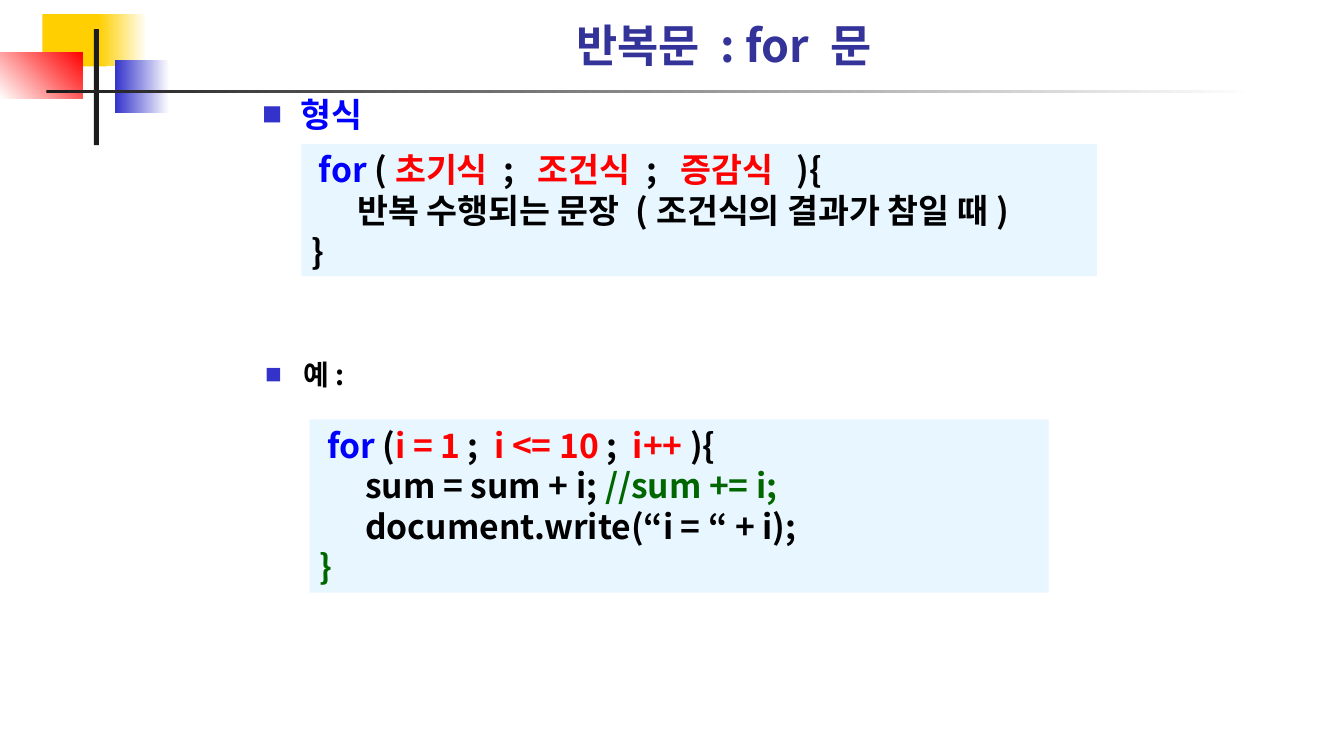
from lxml.etree import SubElement as Sub
from pptx import Presentation
from pptx.dml.color import RGBColor as RGB
from pptx.enum.shapes import MSO_SHAPE as Form
from pptx.enum.text import MSO_ANCHOR as Anchor, MSO_AUTO_SIZE as Fit, PP_ALIGN as Align
from pptx.oxml.ns import qn
from pptx.util import Inches, Pt

HUES = {
    "gold": "FFCF01", "white": "FFFFFF", "navy": "3333CC", "red": "FF0000",
    "coal": "1C1C1C", "title": "333399", "blue": "0000FF", "black": "000000",
    "green": "006600", "pale": "E7F6FF",
}
FACE = "Noto Sans CJK KR"

deck = Presentation()
deck.slide_width, deck.slide_height = Inches(13.33), Inches(7.5)
slide = deck.slides.add_slide(deck.slide_layouts[1])
shapes = slide.shapes


def area(left, top, width, height):
    wide, high = deck.slide_width / 100, deck.slide_height / 100
    return [int(n) for n in (left * wide, top * high, width * wide, height * high)]


def write(para, runs, size):
    for text, hue in runs:
        run = para.add_run()
        run.text = text
        look = {"name": FACE, "size": Pt(size), "bold": True}
        for key, value in look.items():
            setattr(run.font, key, value)
        run.font.color.rgb = RGB.from_string(HUES[hue])
        Sub(run.font._element, qn("a:ea"), typeface=FACE)


decor = [
    ((3.15, 1.87, 4.8, 6.93), ["gold"], 0),
    ((7.35, 1.87, 3.6, 6.93), ["gold", "white"], 0),
    ((8.55, 8, 4.05, 6.93), ["navy", "white"], 0),
    ((0, 6.93, 6.15, 6.13), ["white", "red"], 45),
    ((6.98, 3.87, 0.38, 15.33), ["coal"], 0),
    ((3.45, 11.87, 90.02, 0.4), ["coal", "white"], 0),
]
for spot, hues, angle in decor:
    block = shapes.add_shape(Form.RECTANGLE, *area(*spot))
    block.shadow.inherit = False
    block.line.fill.background()
    if len(hues) == 1:
        block.fill.solid()
        block.fill.fore_color.rgb = RGB.from_string(HUES[hues[0]])
    else:
        block.fill.gradient()
        block.fill.gradient_angle = angle
        for stop, hue in zip(block.fill.gradient_stops, hues):
            stop.color.rgb = RGB.from_string(HUES[hue])

title, body = shapes.title, slide.placeholders[1]
note = shapes.add_textbox(*area(18.98, 47.07, 64.37, 7.73))
spots = [
    (title, (21.91, 2.4, 63.92, 7.73), Anchor.BOTTOM),
    (body, (18.75, 11.73, 64.37, 11.07), Anchor.TOP),
    (note, (18.98, 47.07, 64.37, 7.73), Anchor.TOP),
]
for shape, spot, anchor in spots:
    shape.left, shape.top, shape.width, shape.height = area(*spot)
    frame = {"word_wrap": True, "auto_size": Fit.NONE, "vertical_anchor": anchor}
    for key, value in frame.items():
        setattr(shape.text_frame, key, value)

head = title.text_frame.paragraphs[0]
head.alignment = Align.CENTER
write(head, [("반복문 : for 문", "title")], 32)

items = [(body, "형식", "blue", 24, Pt(29)), (note, "예:", "black", 20, 0.9)]
for shape, text, hue, size, pitch in items:
    para = shape.text_frame.paragraphs[0]
    props = para._p.get_or_add_pPr()
    props.set("marL", str(Inches(0.38)))
    props.set("indent", str(-Inches(0.38)))
    Sub(Sub(props, qn("a:buClr")), qn("a:srgbClr"), val=HUES["navy"])
    Sub(props, qn("a:buSzPct"), val="60000")
    Sub(props, qn("a:buFont"), typeface=FACE)
    Sub(props, qn("a:buChar"), char="■")
    para.space_before = Pt(0)
    para.line_spacing = pitch
    write(para, [(text, hue)], size)

codes = [
    ((22.43, 19.07, 59.19, 17.47), [
        [(" ", "black"), ("for", "blue"), (" (", "black"), ("초기식 ", "red"),
         (";  ", "black"), ("조건식 ", "red"), (";  ", "black"),
         ("증감식 ", "red"), (" ){", "black")],
        [("      반복 수행되는 문장 (조건식의 결과가 참일 때)", "black")],
        [("}", "black")],
    ]),
    ((23.03, 55.47, 54.99, 22.93), [
        [(" ", "black"), ("for", "blue"), (" (", "black"), ("i = 1", "red"),
         (" ;  ", "black"), ("i <= 10", "red"), (" ;  ", "black"),
         ("i++", "red"), (" ){", "black")],
        [("      sum = sum + i; ", "black"), ("//sum += i;", "green")],
        [("      document.write(“i = “ + i);", "black")],
        [("}", "green")],
    ]),
]
for spot, lines in codes:
    panel = shapes.add_shape(Form.RECTANGLE, *area(*spot))
    panel.shadow.inherit = False
    panel.line.fill.background()
    panel.fill.solid()
    panel.fill.fore_color.rgb = RGB.from_string(HUES["pale"])
    frame = panel.text_frame
    frame.word_wrap = True
    frame.auto_size = Fit.SHAPE_TO_FIT_TEXT
    frame.vertical_anchor = Anchor.TOP
    for row, runs in enumerate(lines):
        para = frame.add_paragraph() if row else frame.paragraphs[0]
        para.alignment = Align.LEFT
        para.line_spacing = Pt(29)
        write(para, runs, 24)

deck.save("out.pptx")
